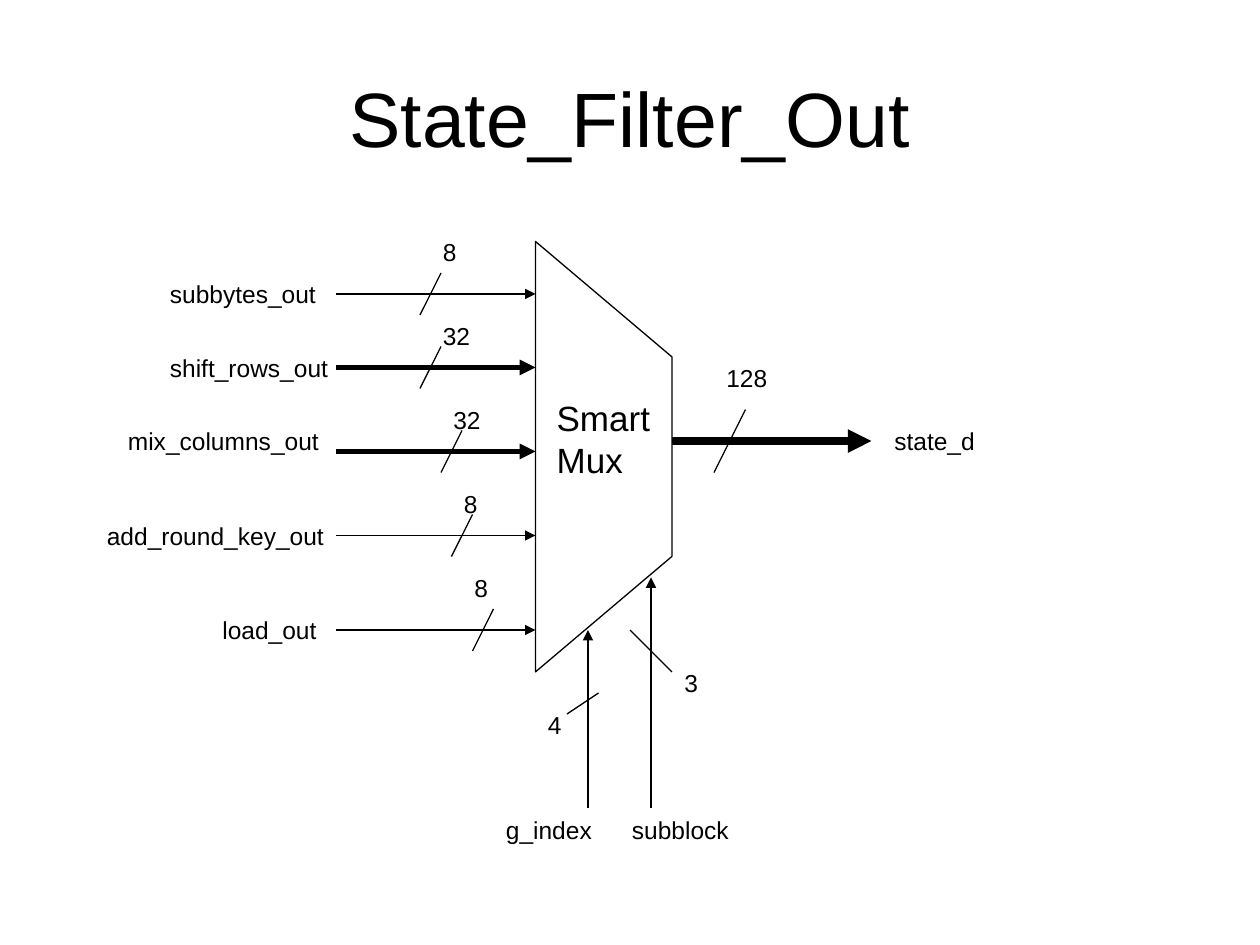
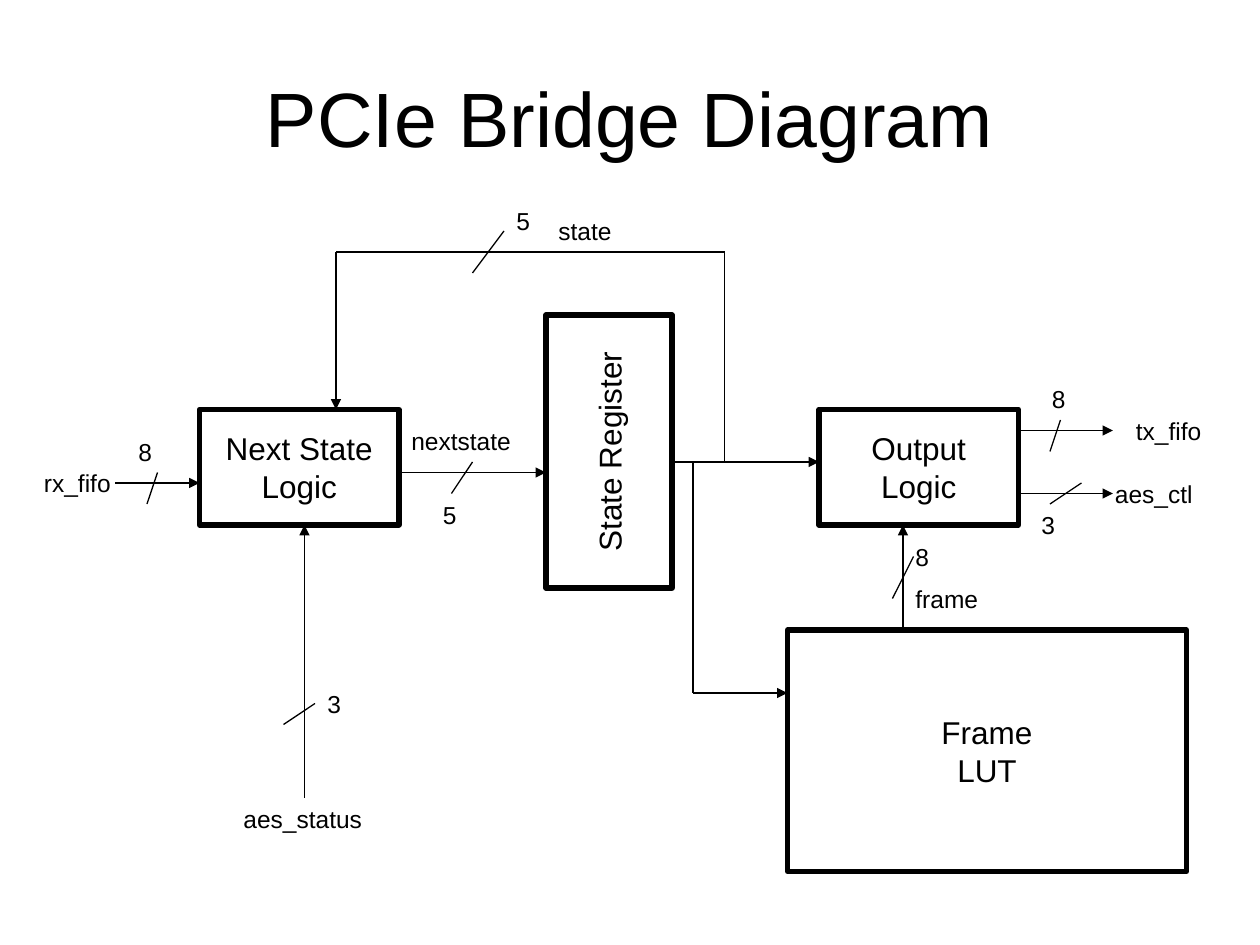
from dataclasses import dataclass
from itertools import pairwise

from lxml.etree import SubElement
from pptx import Presentation
from pptx.dml.color import RGBColor
from pptx.enum.shapes import MSO_CONNECTOR, MSO_SHAPE
from pptx.enum.text import MSO_ANCHOR, MSO_AUTO_SIZE, PP_ALIGN
from pptx.oxml.ns import qn
from pptx.util import Pt


@dataclass(frozen=True)
class Theme:
    ink: RGBColor = RGBColor(0, 0, 0)
    paper: RGBColor = RGBColor(255, 255, 255)
    font: str = "Arial"
    title_size: float = 44
    mux_size: float = 20
    block_size: float = 18
    label_size: float = 14
    thin: float = 0.75
    thick: float = 3
    heavy: float = 4.5


class Diagram:
    """Draws the parts of a block diagram on the current slide, in points."""

    title_only_layout = 5
    title_box = (36, 21.6, 648, 90)
    label_height = 24.5

    def __init__(self, presentation, theme):
        self.presentation = presentation
        self.theme = theme
        self.slide = None

    def new_slide(self, title):
        layout = self.presentation.slide_layouts[self.title_only_layout]
        self.slide = self.presentation.slides.add_slide(layout)
        shape = self.slide.shapes.title
        shape.left, shape.top, shape.width, shape.height = map(Pt, self.title_box)
        shape.text_frame.auto_size = MSO_AUTO_SIZE.NONE
        self.add_text(shape, [title], self.theme.title_size,
                      PP_ALIGN.CENTER, MSO_ANCHOR.MIDDLE)

    def add_text(self, shape, lines, size,
                 alignment=PP_ALIGN.LEFT, anchor=MSO_ANCHOR.TOP):
        frame = shape.text_frame
        frame.word_wrap = True
        frame.vertical_anchor = anchor
        for index, line in enumerate(lines):
            paragraph = frame.add_paragraph() if index else frame.paragraphs[0]
            paragraph.alignment = alignment
            run = paragraph.add_run()
            run.text = line
            run.font.name = self.theme.font
            run.font.size = Pt(size)
            run.font.color.rgb = self.theme.ink

    def text_box(self, lines, left, top, width, height, size):
        shape = self.slide.shapes.add_textbox(Pt(left), Pt(top), Pt(width), Pt(height))
        self.add_text(shape, lines, size)

    def label(self, text, left, top, width=30):
        self.text_box([text], left, top, width, self.label_height,
                      self.theme.label_size)

    def outline(self, shape, weight):
        shape.shadow.inherit = False
        shape.fill.solid()
        shape.fill.fore_color.rgb = self.theme.paper
        shape.line.color.rgb = self.theme.ink
        shape.line.width = Pt(weight)

    def block(self, lines, left, top, width, height, upward=False):
        shape = self.slide.shapes.add_shape(
            MSO_SHAPE.RECTANGLE, Pt(left), Pt(top), Pt(width), Pt(height))
        self.outline(shape, self.theme.thick)
        self.add_text(shape, lines, self.theme.block_size,
                      PP_ALIGN.CENTER, MSO_ANCHOR.MIDDLE)
        if upward:
            shape.text_frame._txBody.bodyPr.set("vert", "vert270")

    def polygon(self, corners):
        points = [(Pt(x), Pt(y)) for x, y in corners]
        builder = self.slide.shapes.build_freeform(*points[0])
        builder.add_line_segments(points[1:], close=True)
        self.outline(builder.convert_to_shape(), self.theme.thin)

    def line(self, start, end, weight=None, arrow=False):
        connector = self.slide.shapes.add_connector(
            MSO_CONNECTOR.STRAIGHT, *map(Pt, (*start, *end)))
        connector.line.color.rgb = self.theme.ink
        connector.line.width = Pt(weight or self.theme.thin)
        properties = connector._element.spPr
        if arrow:
            SubElement(properties.find(qn("a:ln")), qn("a:tailEnd"), type="triangle")
        SubElement(properties, qn("a:effectLst"))

    def wire(self, *points, weight=None):
        """Joins the points and puts an arrowhead at the last one."""
        for start, end in pairwise(points):
            self.line(start, end, weight, arrow=end == points[-1])

    def slash(self, x, y, width, height):
        """Marks a bus with a rising stroke centred on x, y."""
        self.line((x + width / 2, y - height / 2), (x - width / 2, y + height / 2))


def draw_state_filter(diagram):
    theme = diagram.theme
    diagram.new_slide("State_Filter_Out")

    # Multiplexer
    mux_left, mux_right = 306, 384
    diagram.polygon([(mux_left, 138), (mux_right, 204),
                     (mux_right, 318), (mux_left, 384)])
    diagram.text_box(["Smart", "Mux"], 311, 223.2, 78, 55, theme.mux_size)

    # Inputs: name, its left, top and width, wire y, weight, slash x, bits, their place
    inputs = [
        ("subbytes_out", 90, 156, 108, 168, theme.thin, 246, "8", 246, 132),
        ("shift_rows_out", 90, 198, 108, 210, theme.thick, 246, "32", 246, 180),
        ("mix_columns_out", 66, 240, 132, 258, theme.thick, 258, "32", 252, 228),
        ("add_round_key_out", 54, 294, 144, 306, theme.thin, 264, "8", 258, 276),
        ("load_out", 120, 348, 108, 360, theme.thin, 276, "8", 264, 324),
    ]
    for name, left, top, width, y, weight, slash_x, bits, bits_left, bits_top in inputs:
        diagram.label(name, left, top, width)
        diagram.wire((192, y), (mux_left, y), weight=weight)
        diagram.slash(slash_x, y, 12, 24)
        diagram.label(bits, bits_left, bits_top)

    # Output
    diagram.wire((mux_right, 252), (498, 252), weight=theme.heavy)
    diagram.slash(417, 252, 18, 36)
    diagram.label("128", 408, 204, 66)
    diagram.label("state_d", 504, 240, 144)

    # Select lines
    diagram.wire((336, 462), (336, 360))
    diagram.slash(333, 402, 18, 12)
    diagram.label("4", 306, 402)
    diagram.label("g_index", 282, 462, 90)
    diagram.wire((372, 462), (372, 330))
    diagram.line((360, 360), (384, 384))
    diagram.label("3", 384, 378)
    diagram.label("subblock", 354, 462, 126)


def draw_bridge(diagram):
    diagram.new_slide("PCIe Bridge Diagram")

    # Blocks
    diagram.block(["Next State", "Logic"], 114, 234, 114, 66)
    diagram.block(["Output", "Logic"], 468, 234, 114, 66)
    diagram.block(["State Register"], 312, 180, 72, 156, upward=True)
    diagram.block(["Frame", "LUT"], 450, 360, 228, 138)

    # State path: forward, back to the next state logic, and down to the table
    diagram.wire((384, 264), (468, 264))
    diagram.wire((414, 264), (414, 144), (192, 144), (192, 234))
    diagram.wire((396, 264), (396, 396), (450, 396))
    diagram.slash(279, 144, 18, 24)
    diagram.label("5", 288, 114)
    diagram.label("state", 312, 120, 78)

    # Signals: name, its place and width, wire ends, slash, bits, their place
    signals = [
        ("rx_fifo", (18, 264, 54), (66, 276), (114, 276),
         (87, 279, 6, 18), "8", (72, 246)),
        ("nextstate", (228, 240, 78), (228, 270), (312, 270),
         (264, 273, 12, 18), "5", (246, 282)),
        ("aes_status", (132, 456, 90), (174, 456), (174, 300),
         (171, 408, 18, 12), "3", (180, 390)),
        ("tx_fifo", (642, 234, 54), (582, 246), (636, 246),
         (603, 249, 6, 18), "8", (594, 216)),
        ("aes_ctl", (630, 270, 90), (582, 282), (636, 282),
         (609, 282, 18, 12), "3", (588, 288)),
        ("frame", (516, 330, 90), (516, 360), (516, 300),
         (516, 330, 12, 24), "8", (516, 306)),
    ]
    for name, name_box, start, end, slash, bits, bits_place in signals:
        diagram.label(name, *name_box)
        diagram.wire(start, end)
        diagram.slash(*slash)
        diagram.label(bits, *bits_place)


def main():
    presentation = Presentation()
    presentation.slide_width, presentation.slide_height = Pt(720), Pt(540)
    diagram = Diagram(presentation, Theme())
    draw_state_filter(diagram)
    draw_bridge(diagram)
    presentation.save("out.pptx")


if __name__ == "__main__":
    main()
